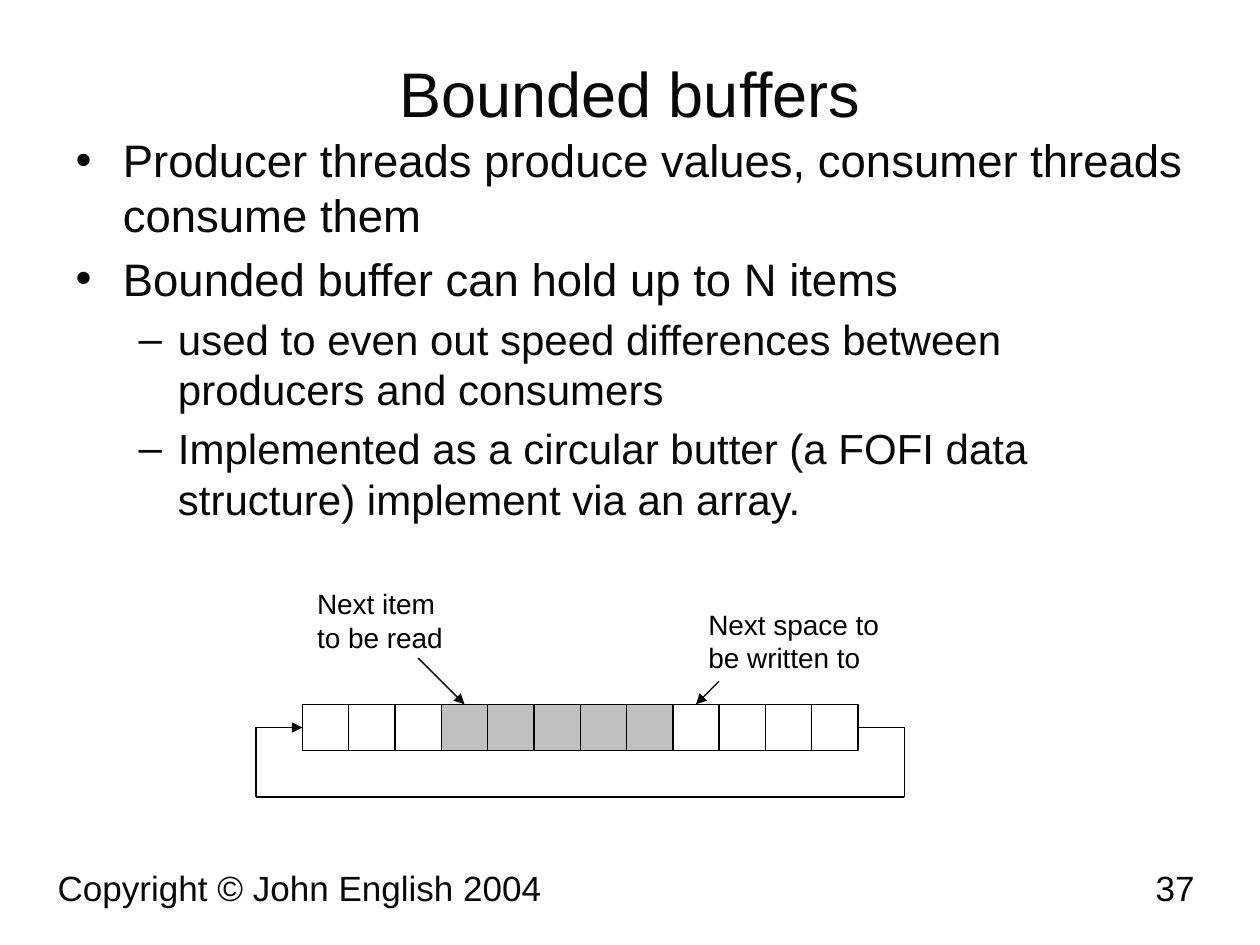
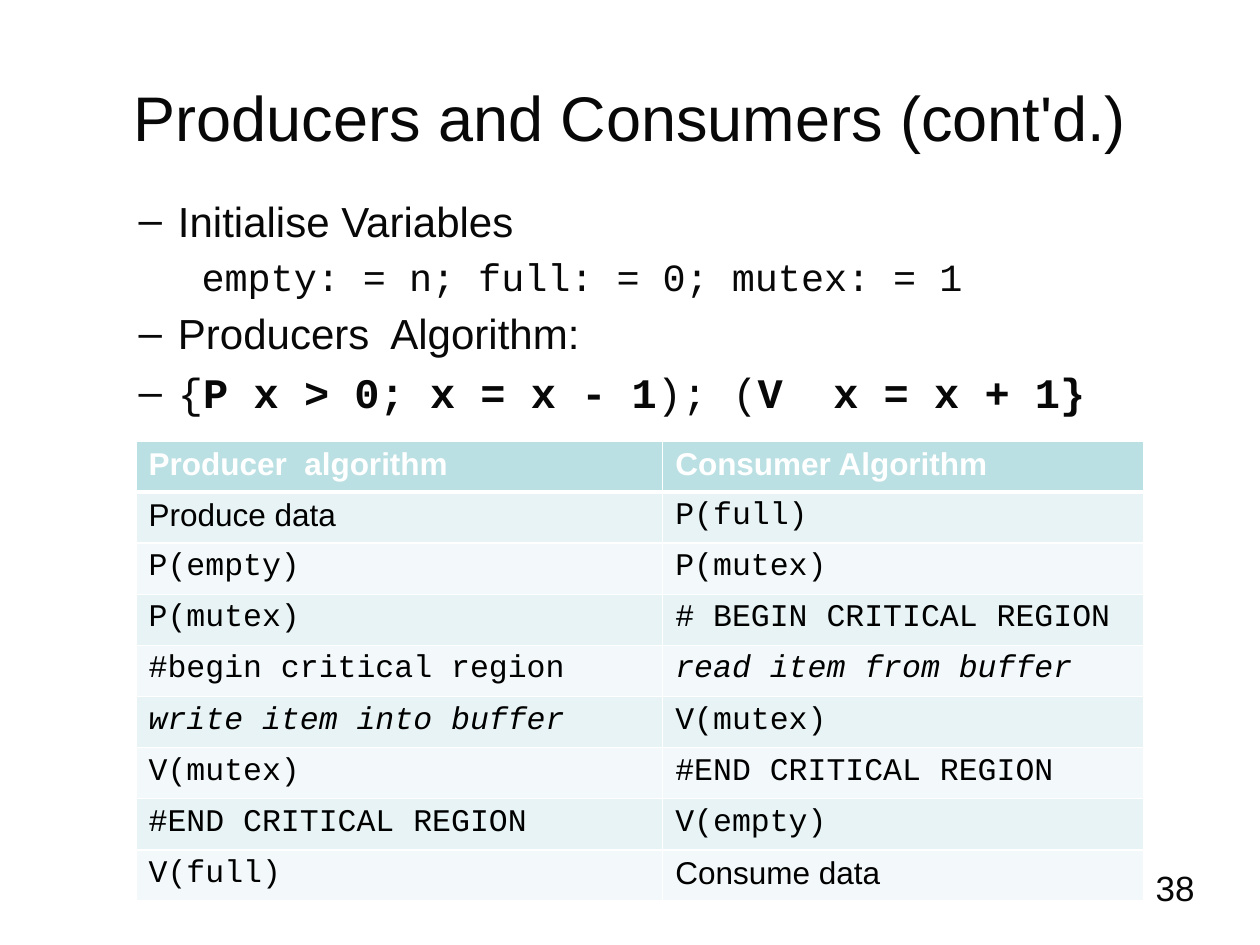
from dataclasses import dataclass
from functools import partial
from itertools import pairwise

from lxml.etree import SubElement
from pptx import Presentation
from pptx.dml.color import RGBColor
from pptx.enum.shapes import MSO_CONNECTOR, MSO_SHAPE
from pptx.enum.text import MSO_ANCHOR, MSO_AUTO_SIZE, PP_ALIGN
from pptx.oxml.ns import qn
from pptx.util import Inches, Pt


@dataclass(frozen=True)
class Theme:
    sans: str = "Arial"
    mono: str = "Courier New"
    ink: str = "080808"
    black: str = "000000"
    white: str = "FFFFFF"
    used: str = "C0C0C0"
    header: str = "BBE0E3"
    bands: tuple = ("F3F9FA", "E7F3F4")
    title_size: int = 36
    body_sizes: tuple = (26, 24, 22)
    footer_size: int = 20
    label_size: int = 16
    table_size: int = 18
    line_width: float = 0.75
    cell_rule: int = 1
    header_rule: int = 3


@dataclass(frozen=True)
class Span:
    text: str
    face: str = Theme.sans
    bold: bool = False
    italic: bool = False


@dataclass(frozen=True)
class Grid:
    left: float
    top: float
    step: float

    def point(self, column, row):
        return Inches(self.left + column * self.step), Inches(self.top + row * self.step)

    def area(self, column, row, columns, rows):
        return *self.point(column, row), Inches(columns * self.step), Inches(rows * self.step)


THEME = Theme()
PAGE = Grid(0, 0, 0.25)
CELL_COUNT = 12
BUFFER = Grid(2.4, 5.59, 4.41 / CELL_COUNT)
FOOTER_ROW, FOOTER_ROWS = 27.32, 2.08

code = partial(Span, face=THEME.mono)


def colour(value):
    return RGBColor.from_string(value)


class SlideBuilder:
    def __init__(self, deck, theme):
        self.deck = deck
        self.theme = theme
        self.page = None

    def new_page(self, title, title_rows, number):
        self.page = self.deck.slides.add_slide(self.deck.slide_layouts[1])
        heading = self.page.shapes.title
        self.place(heading, PAGE.area(2, 1.2, 36, title_rows))
        heading.text_frame.vertical_anchor = MSO_ANCHOR.MIDDLE
        paragraph = heading.text_frame.paragraphs[0]
        paragraph.alignment = PP_ALIGN.CENTER
        self.add_spans(paragraph, [Span(title)], self.theme.title_size, self.theme.ink)
        self.footer(number, 29, 9.32, PP_ALIGN.RIGHT)

    def place(self, holder, area):
        holder.left, holder.top, holder.width, holder.height = area
        holder.text_frame.word_wrap = True
        holder.text_frame.auto_size = MSO_AUTO_SIZE.NONE

    def add_spans(self, paragraph, spans, size, ink):
        for span in spans:
            run = paragraph.add_run()
            run.text = span.text
            font = run.font
            font.name, font.size = span.face, Pt(size)
            font.bold, font.italic = span.bold, span.italic
            font.color.rgb = colour(ink)

    def text(self, words, area, size, ink, alignment=PP_ALIGN.LEFT):
        box = self.page.shapes.add_textbox(*area)
        box.text_frame.word_wrap = True
        paragraph = box.text_frame.paragraphs[0]
        paragraph.alignment = alignment
        self.add_spans(paragraph, [Span(words)], size, ink)

    def footer(self, words, column, columns, alignment=PP_ALIGN.LEFT):
        area = PAGE.area(column, FOOTER_ROW, columns, FOOTER_ROWS)
        self.text(words, area, self.theme.footer_size, self.theme.ink, alignment)

    def bullets(self, items, area):
        body = self.page.placeholders[1]
        self.place(body, area)
        frame = body.text_frame
        for index, (level, spans) in enumerate(items):
            paragraph = frame.add_paragraph() if index else frame.paragraphs[0]
            paragraph.level = level
            if level == 2:
                SubElement(paragraph._p.get_or_add_pPr(), qn("a:buNone"))
            self.add_spans(paragraph, spans, self.theme.body_sizes[level], self.theme.ink)

    def square(self, grid, column, fill):
        box = self.page.shapes.add_shape(MSO_SHAPE.RECTANGLE, *grid.area(column, 0, 1, 1))
        box.shadow.inherit = False
        box.fill.solid()
        box.fill.fore_color.rgb = colour(fill)
        box.line.color.rgb = colour(self.theme.black)
        box.line.width = Pt(self.theme.line_width)
        return box

    def line(self, start, end, source=None, target=None, arrow=False):
        connector = self.page.shapes.add_connector(MSO_CONNECTOR.STRAIGHT, *start, *end)
        connector.line.color.rgb = colour(self.theme.black)
        connector.line.width = Pt(self.theme.line_width)
        properties = connector._element.spPr
        if arrow:
            SubElement(properties.find(qn("a:ln")), qn("a:tailEnd"), type="triangle")
        SubElement(properties, qn("a:effectLst"))
        if source:
            connector.begin_connect(*source)
        if target:
            connector.end_connect(*target)

    def border(self, cell, side, width):
        edge = SubElement(cell._tc.get_or_add_tcPr(), qn(f"a:ln{side}"), w=str(Pt(width)))
        fill = SubElement(edge, qn("a:solidFill"))
        SubElement(fill, qn("a:srgbClr"), val=self.theme.white)

    def table(self, rows, area, shares):
        theme = self.theme
        grid = self.page.shapes.add_table(len(rows), len(shares), *area).table
        for column, share in zip(grid.columns, shares):
            column.width = int(area[2] * share)
        for row_index, row in enumerate(rows):
            is_header = row_index == 0
            for column_index, span in enumerate(row):
                cell = grid.cell(row_index, column_index)
                for side in "LRTB":
                    thick = (is_header and side == "B") or (row_index == 1 and side == "T")
                    self.border(cell, side, theme.header_rule if thick else theme.cell_rule)
                cell.fill.solid()
                fill = theme.header if is_header else theme.bands[row_index % 2]
                cell.fill.fore_color.rgb = colour(fill)
                ink = theme.white if is_header else theme.black
                self.add_spans(cell.text_frame.paragraphs[0], [span], theme.table_size, ink)


def add_bounded_buffers(builder):
    builder.new_page("Bounded buffers", 3.48, "37")
    builder.footer("Copyright © John English 2004", 1.44, 25.32)
    items = [
        (0, [Span("Producer threads produce values, consumer threads consume them")]),
        (0, [Span("Bounded buffer can hold up to N items")]),
        (1, [Span("used to even out speed differences between producers and consumers")]),
        (1, [Span("Implemented as a circular butter (a FOFI data structure) "
                  "implement via an array.")]),
    ]
    builder.bullets(items, PAGE.area(2, 4, 36, 22.8))

    first_used, first_free = 3, 8
    cells = [
        builder.square(BUFFER, column,
                       THEME.used if first_used <= column < first_free else THEME.white)
        for column in range(CELL_COUNT)
    ]
    pointers = [
        ("Next item to be read", (0.05, -2.67, 3.51, 1.67), (2.5, -1), first_used),
        ("Next space to be written to", (8.5, -2.23, 4.57, 1.8), (9, -0.5), first_free),
    ]
    for words, area, start, column in pointers:
        builder.text(words, BUFFER.area(*area), THEME.label_size, THEME.black)
        builder.line(BUFFER.point(*start), BUFFER.point(column + 0.5, 0),
                     target=(cells[column], 0), arrow=True)

    right = CELL_COUNT + 1
    corners = [(CELL_COUNT, 0.5), (right, 0.5), (right, 2), (-1, 2), (-1, 0.5), (0, 0.5)]
    segments = list(pairwise(BUFFER.point(*corner) for corner in corners))
    for index, (start, end) in enumerate(segments):
        is_last = index == len(segments) - 1
        builder.line(start, end,
                     source=None if index else (cells[-1], 3),
                     target=(cells[0], 1) if is_last else None,
                     arrow=is_last)


def add_producers_and_consumers(builder):
    builder.new_page("Producers and Consumers (cont'd.)", 5, "38")
    items = [
        (1, [Span("Initialise Variables")]),
        (2, [code("empty: = n; full: = 0; mutex: = 1")]),
        (1, [Span("Producers  Algorithm:")]),
        (1, [code("{"), code("P x > 0; x = x - 1", bold=True),
             code("); ("), code("V  x = x + 1}", bold=True)]),
    ]
    builder.bullets(items, PAGE.area(2, 6, 36, 23))
    rows = [
        (Span("Producer  algorithm", bold=True), Span("Consumer Algorithm", bold=True)),
        (Span("Produce data"), code("P(full)")),
        (code("P(empty)"), code("P(mutex)")),
        (code("P(mutex)"), code("# BEGIN CRITICAL REGION")),
        (code("#begin critical region"), code("read item from buffer", italic=True)),
        (code("write item into buffer", italic=True), code("V(mutex)")),
        (code("V(mutex)"), code("#END CRITICAL REGION")),
        (code("#END CRITICAL REGION"), code("V(empty)")),
        (code("V(full)"), Span("Consume data")),
    ]
    builder.table(rows, PAGE.area(4.32, 14, 32, 14.6), (4.18 / 8, 3.82 / 8))


def main():
    deck = Presentation()
    deck.slide_width, deck.slide_height = Inches(10), Inches(7.5)
    builder = SlideBuilder(deck, THEME)
    add_bounded_buffers(builder)
    add_producers_and_consumers(builder)
    deck.save("out.pptx")


if __name__ == "__main__":
    main()
